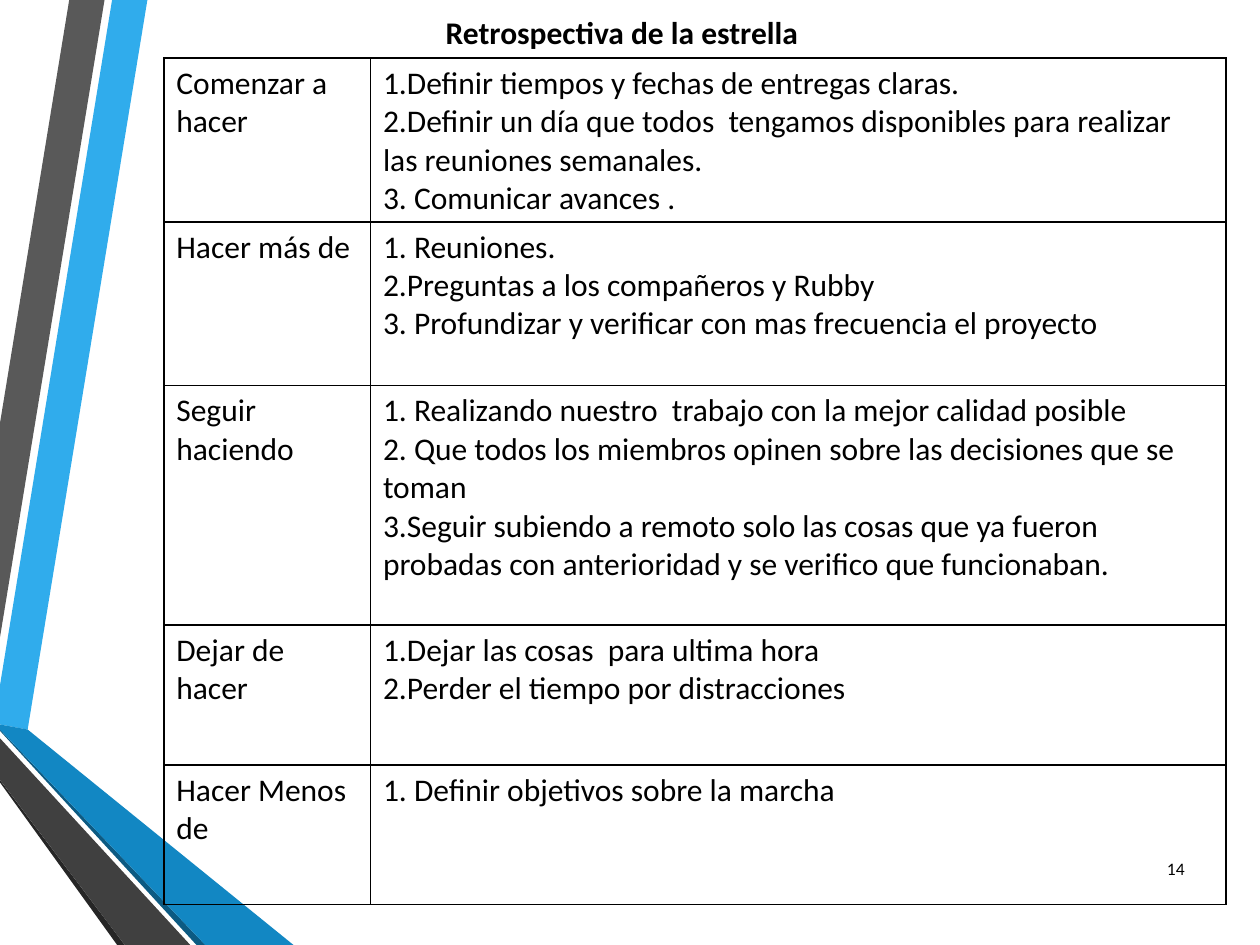
from lxml import etree
from pptx import Presentation
from pptx.dml.color import RGBColor
from pptx.enum.text import MSO_ANCHOR, MSO_AUTO_SIZE, PP_ALIGN
from pptx.oxml.ns import qn
from pptx.util import Inches, Pt

TOP, MIDDLE = MSO_ANCHOR.TOP, MSO_ANCHOR.MIDDLE
LEFT, CENTER, RIGHT = PP_ALIGN.LEFT, PP_ALIGN.CENTER, PP_ALIGN.RIGHT
NO_AUTOFIT = MSO_AUTO_SIZE.NONE
BLACK = "000000"
HUNDREDTH = Inches(0.01)


def color(value):
    return RGBColor.from_string(value)


def write(frame, *lines, size=18, bold=False, align=LEFT, anchor=TOP):
    frame.word_wrap = True
    frame.vertical_anchor = anchor
    for index, line in enumerate(lines):
        paragraph = frame.paragraphs[0] if index == 0 else frame.add_paragraph()
        paragraph.alignment = align
        run = paragraph.add_run()
        run.text = line
        run.font.name = "Calibri"
        run.font.size = Pt(size)
        run.font.bold = bold
        run.font.color.rgb = color(BLACK)


presentation = Presentation()
presentation.slide_width = Inches(10)
presentation.slide_height = Inches(7.5)
slide = presentation.slides.add_slide(presentation.slide_layouts[5])

# Ribbon along the left edge, corners in hundredths of an inch
ribbons = [
    ("30ACEC", [(0, 544), (0, 575), (22, 579), (117, 0), (89, 0)]),
    ("595959", [(83, 0), (55, 0), (0, 336), (0, 506)]),
    ("262626", [(0, 619), (0, 621), (93, 750), (99, 750)]),
    ("0C5A82", [(0, 579), (0, 580), (156, 750), (163, 750)]),
    ("1287C3", [(0, 579), (163, 750), (233, 750), (22, 579), (0, 575)]),
    ("404040", [(0, 619), (99, 750), (151, 750), (0, 586)]),
]
for fill, corners in ribbons:
    builder = slide.shapes.build_freeform(*corners[0], scale=HUNDREDTH)
    builder.add_line_segments(corners[1:], close=True)
    ribbon = builder.convert_to_shape()
    ribbon.shadow.inherit = False
    ribbon.fill.solid()
    ribbon.fill.fore_color.rgb = color(fill)
    ribbon.line.fill.background()

page_number = slide.shapes.add_textbox(Inches(9.05), Inches(6.69), Inches(0.45), Inches(0.4))
write(page_number.text_frame, "14", size=10, align=RIGHT, anchor=MIDDLE)

# Retrospective table: height, heading, points
rows = [
    (1.3, "Comenzar a hacer", [
        "1.Definir tiempos y fechas de entregas claras.",
        "2.Definir un día que todos  tengamos disponibles para realizar las reuniones semanales.",
        "3. Comunicar avances .",
    ]),
    (1.3, "Hacer más de", [
        "1. Reuniones.",
        "2.Preguntas a los compañeros y Rubby",
        "3. Profundizar y verificar con mas frecuencia el proyecto",
    ]),
    (1.9, "Seguir haciendo", [
        "1. Realizando nuestro  trabajo con la mejor calidad posible",
        "2. Que todos los miembros opinen sobre las decisiones que se toman",
        "3.Seguir subiendo a remoto solo las cosas que ya fueron probadas "
        "con anterioridad y se verifico que funcionaban.",
    ]),
    (1.11, "Dejar de hacer", [
        "1.Dejar las cosas  para ultima hora",
        "2.Perder el tiempo por distracciones",
    ]),
    (1.11, "Hacer Menos de", ["1. Definir objetivos sobre la marcha"]),
]
column_widths = [1.64, 6.79]
table = slide.shapes.add_table(
    len(rows), len(column_widths), Inches(1.3), Inches(0.46),
    Inches(sum(column_widths)), Inches(sum(row[0] for row in rows)),
).table
table.first_row = False
table.horz_banding = False
for column, width in zip(table.columns, column_widths):
    column.width = Inches(width)
for row, (height, heading, points) in zip(table.rows, rows):
    row.height = Inches(height)
    write(row.cells[0].text_frame, heading)
    write(row.cells[1].text_frame, *points)

for cell in table.iter_cells():
    properties = cell._tc.get_or_add_tcPr()
    for side in ("a:lnL", "a:lnR", "a:lnT", "a:lnB"):
        border = etree.SubElement(properties, qn(side), w=str(Pt(1)))
        solid = etree.SubElement(border, qn("a:solidFill"))
        etree.SubElement(solid, qn("a:srgbClr"), val=BLACK)
    cell.fill.background()

title = slide.shapes.title
title.left, title.top = Inches(0.2), Inches(0.05)
title.width, title.height = Inches(9.53), Inches(0.4)
title.text_frame.auto_size = NO_AUTOFIT
write(title.text_frame, "Retrospectiva de la estrella ", bold=True, align=CENTER)

presentation.save("out.pptx")
